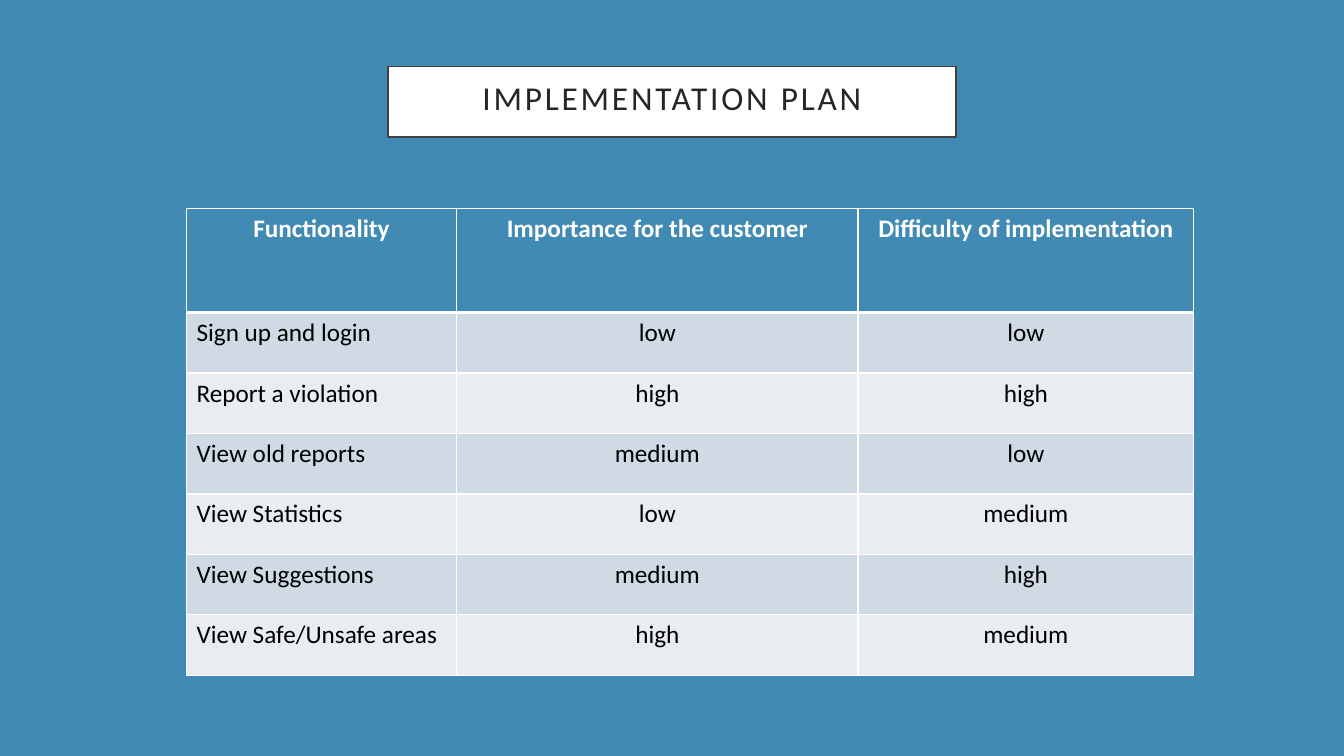
from itertools import product

from lxml import etree
from pptx import Presentation
from pptx.dml.color import RGBColor
from pptx.enum import text
from pptx.oxml import ns
from pptx.util import Inches, Pt

TITLE = "IMPLEMENTATION PLAN"
PLAN = [
    ("Functionality", "Importance for the customer", "Difficulty of implementation"),
    ("Sign up and login", "low", "low"),
    ("Report a violation", "high", "high"),
    ("View old reports", "medium", "low"),
    ("View Statistics", "low", "medium"),
    ("View Suggestions", "medium", "high"),
    ("View Safe/Unsafe areas", "high", "medium"),
]
COLUMN_WIDTHS = (2.68, 3.98, 3.33)
HEADER_HEIGHT, ROW_HEIGHT = 1.03, 0.6

FONT = "Calibri"
BLUE = RGBColor(0x41, 0x8A, 0xB3)
WHITE = RGBColor(0xFF, 0xFF, 0xFF)
BLACK = RGBColor(0, 0, 0)
TITLE_TEXT = RGBColor(0x26, 0x26, 0x26)
TITLE_LINE = RGBColor(0x40, 0x40, 0x40)
BANDS = (RGBColor(0xE9, 0xED, 0xF2), RGBColor(0xCF, 0xDA, 0xE5))


def style_paragraph(paragraph, size, color, bold, align):
    paragraph.alignment = align
    font = paragraph.font
    font.name, font.size, font.bold = FONT, Pt(size), bold
    font.color.rgb = color


def add_borders(cell, widths):
    properties = cell._tc.get_or_add_tcPr()
    for side, width in widths.items():
        line = etree.SubElement(properties, ns.qn(f"a:ln{side}"), w=str(Pt(width)))
        fill = etree.SubElement(line, ns.qn("a:solidFill"))
        etree.SubElement(fill, ns.qn("a:srgbClr"), val=str(WHITE))


def add_title(slide):
    title = slide.shapes.title
    title.left, title.top = Inches(3.85), Inches(0.66)
    title.width, title.height = Inches(5.63), Inches(0.7)
    title.fill.solid()
    title.fill.fore_color.rgb = WHITE
    title.line.color.rgb = TITLE_LINE
    title.line.width = Pt(1.25)
    frame = title.text_frame
    frame.text = TITLE
    frame.word_wrap = True
    frame.auto_size = text.MSO_AUTO_SIZE.NONE
    frame.vertical_anchor = text.MSO_ANCHOR.MIDDLE
    frame.margin_left = frame.margin_right = Inches(0.2)
    frame.margin_top = frame.margin_bottom = Inches(0.2)
    heading = frame.paragraphs[0]
    style_paragraph(heading, 23.8, TITLE_TEXT, False, text.PP_ALIGN.CENTER)
    heading.line_spacing = 0.7
    heading.runs[0]._r.get_or_add_rPr().set("spc", "200")


def add_plan(slide):
    heights = [HEADER_HEIGHT] + [ROW_HEIGHT] * (len(PLAN) - 1)
    plan = slide.shapes.add_table(
        len(PLAN), len(COLUMN_WIDTHS), Inches(1.85), Inches(2.07),
        Inches(sum(COLUMN_WIDTHS)), Inches(sum(heights))).table
    for column, width in zip(plan.columns, COLUMN_WIDTHS):
        column.width = Inches(width)
    for row, height in zip(plan.rows, heights):
        row.height = Inches(height)

    for r, c in product(range(len(PLAN)), range(len(COLUMN_WIDTHS))):
        header = r == 0
        cell = plan.cell(r, c)
        cell.text = PLAN[r][c]
        add_borders(cell, {"L": 1, "R": 1, "T": 3 if r == 1 else 1, "B": 3 if header else 1})
        cell.fill.solid()
        cell.fill.fore_color.rgb = BLUE if header else BANDS[r % 2]
        centred = header or c > 0
        style_paragraph(
            cell.text_frame.paragraphs[0], 18, WHITE if header else BLACK, header,
            text.PP_ALIGN.CENTER if centred else text.PP_ALIGN.LEFT)


def main():
    deck = Presentation()
    deck.slide_width, deck.slide_height = Inches(13.33), Inches(7.5)
    slide = deck.slides.add_slide(deck.slide_layouts.get_by_name("Title Only"))
    slide.background.fill.solid()
    slide.background.fill.fore_color.rgb = BLUE
    add_title(slide)
    add_plan(slide)
    deck.save("out.pptx")


if __name__ == "__main__":
    main()
